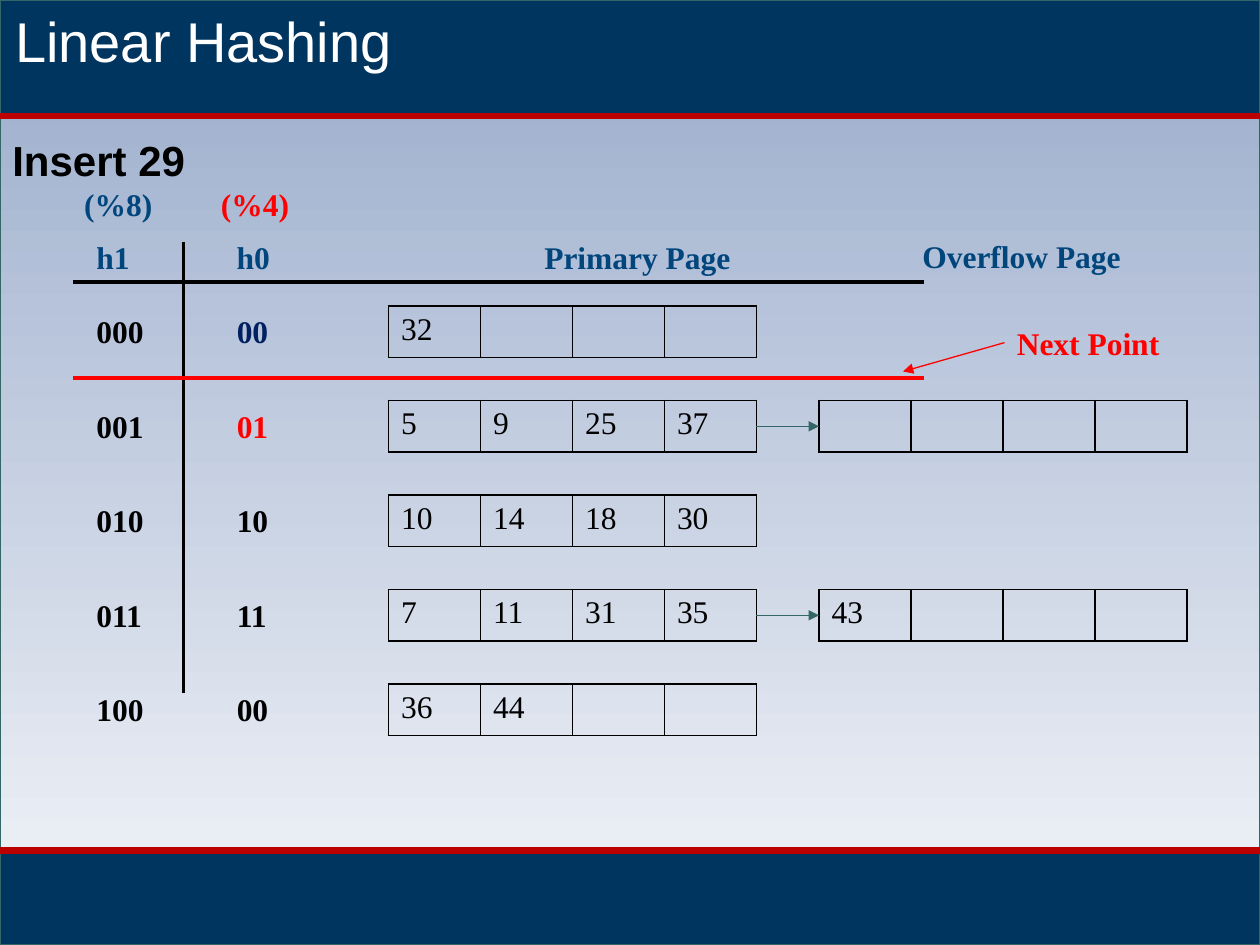
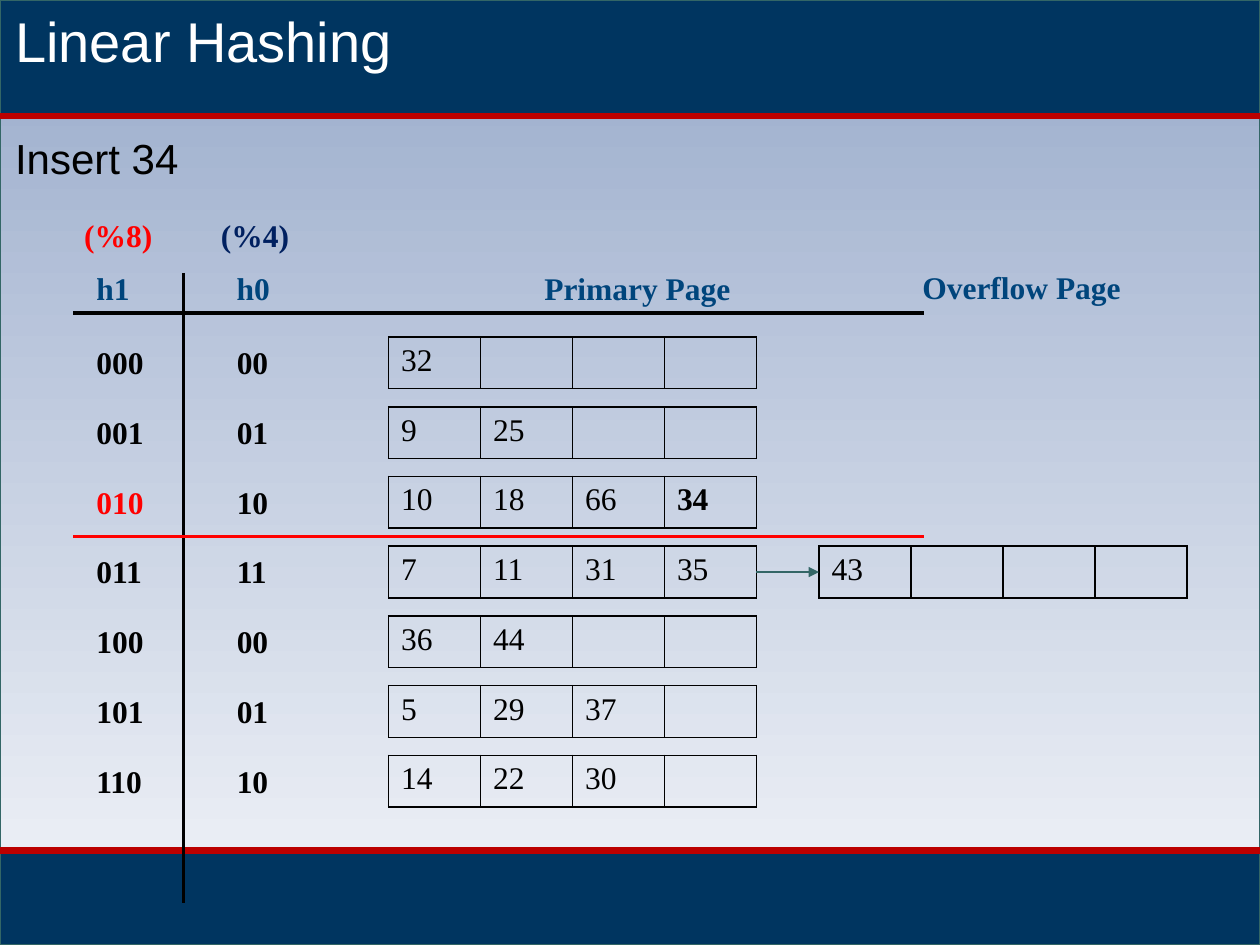
from lxml.etree import SubElement
from pptx import Presentation
from pptx.dml.color import RGBColor
from pptx.enum.shapes import MSO_CONNECTOR, MSO_SHAPE
from pptx.enum.text import MSO_AUTO_SIZE
from pptx.oxml import parse_xml
from pptx.oxml.ns import nsdecls, qn
from pptx.util import Pt

# Shared colours and formats
NAVY, TEAL, CRIMSON = "003560", "336666", "BC0000"
BLUE, DARK_BLUE, RED, BLACK, WHITE = "00457C", "002060", "FF0000", "000000", "FFFFFF"
TITLE = {"name": "Arial", "size": Pt(32), "bold": False}
HEADING = {"name": "Arial", "size": Pt(24), "bold": False}
LABEL = {"name": "Times New Roman", "size": Pt(18), "bold": True}
CELL = LABEL | {"bold": False}

# Shared geometry, in points
WIDTH, HEIGHT = 720, 540
HEADER_BOTTOM, FOOTER_TOP = 66.2, 486
H1_LEFT, H0_LEFT = 48, 128.2
PRIMARY_LEFT, OVERFLOW_LEFT = 222, 468
CELL_WIDTH, CELL_HEIGHT, CELLS = 52.56, 29.5, 4
RULE_LEFT, RULE_RIGHT = 41.8, 528


def rgb(value):
    return RGBColor.from_string(value)


def set_font(font, fmt, color):
    for name, value in fmt.items():
        setattr(font, name, value)
    font.color.rgb = rgb(color)


def add_text(s, text, left, top, width, fmt=LABEL, color=BLACK, height=28.8, wrap=False):
    tf = s.shapes.add_textbox(Pt(left), Pt(top), Pt(width), Pt(height)).text_frame
    tf.word_wrap = wrap
    tf.auto_size = MSO_AUTO_SIZE.SHAPE_TO_FIT_TEXT
    r = tf.paragraphs[0].add_run()
    r.text = text
    set_font(r.font, fmt, color)


def add_band(s, top, height, *colors):
    """Full-width rectangle: one colour is solid, two make a vertical gradient."""
    sp = s.shapes.add_shape(MSO_SHAPE.RECTANGLE, 0, Pt(top), Pt(WIDTH), Pt(height))
    sp.shadow.inherit = False
    if len(colors) == 1:
        sp.fill.solid()
        sp.fill.fore_color.rgb = rgb(colors[0])
    else:
        sp.fill.gradient()
        sp.fill.gradient_angle = 270
        for stop, position, color in zip(sp.fill.gradient_stops, (0, 1), colors):
            stop.position = position
            stop.color.rgb = rgb(color)
    sp.line.color.rgb = rgb(TEAL)
    sp.line.width = Pt(0.75)


def add_line(s, x1, y1, x2, y2, color, width, arrow=False):
    line = s.shapes.add_connector(MSO_CONNECTOR.STRAIGHT, Pt(x1), Pt(y1), Pt(x2), Pt(y2))
    line.line.color.rgb = rgb(color)
    line.line.width = Pt(width)
    props = line._element.spPr
    if arrow:
        SubElement(props.find(qn("a:ln")), qn("a:tailEnd"), type="triangle")
    SubElement(props, qn("a:effectLst"))


def add_borders(cell):
    props = cell._tc.get_or_add_tcPr()
    for i, side in enumerate(("lnL", "lnR", "lnT", "lnB")):
        props.insert(i, parse_xml(
            f'<a:{side} {nsdecls("a")} w="12700"><a:solidFill>'
            f'<a:srgbClr val="{BLACK}"/></a:solidFill></a:{side}>'))


def add_page(s, left, top, values, inserted=None):
    """One bucket page: a one-row table, the inserted key in bold."""
    table = s.shapes.add_table(1, CELLS, Pt(left), Pt(top),
                               Pt(CELL_WIDTH * CELLS), Pt(CELL_HEIGHT)).table
    table.first_row = table.horz_banding = False
    for i, cell in enumerate(table.rows[0].cells):
        table.columns[i].width = Pt(CELL_WIDTH)
        cell.fill.background()
        add_borders(cell)
        p = cell.text_frame.paragraphs[0]
        if i < len(values):
            r = p.add_run()
            r.text = str(values[i])
            set_font(r.font, CELL | {"bold": values[i] == inserted}, BLACK)
        else:
            set_font(p.font, CELL, BLACK)


def add_base(prs):
    """Blank slide with background, bands, red rules and title."""
    s = prs.slides.add_slide(prs.slide_layouts[6])
    add_band(s, 0, HEIGHT, "99ABCB", "F3F5F9")
    add_band(s, FOOTER_TOP, HEIGHT - FOOTER_TOP, NAVY)
    add_band(s, 0, HEADER_BOTTOM, NAVY)
    for y in (HEADER_BOTTOM, FOOTER_TOP):
        add_line(s, 0, y, WIDTH, y, CRIMSON, 3.75)
    add_text(s, "Linear Hashing", 1.5, 0, 718.5, TITLE, WHITE, 46, True)
    return s


def add_hash_table(s, top, step, buckets, mod_colors, key_colors, axis_bottom, split_y,
                   inserted=None):
    """Headers, rules and one row per bucket: (h1, h0, primary, overflow or None)."""
    header_top, rule_y, first_row = top + 30.2, top + 59, top + 72.6

    # Axes
    add_line(s, 105, top + 36, 105, axis_bottom, BLACK, 1.75)
    add_line(s, RULE_LEFT, rule_y, RULE_RIGHT, rule_y, BLACK, 2)

    # Column headers
    for text, left, color in zip(("(%8)", "(%4)"), (41, 119.2), mod_colors):
        add_text(s, text, left, top, 54, color=color)
    for text, left, width in (("h1", H1_LEFT, 33.8), ("h0", H0_LEFT, 33.8),
                              ("Primary Page", 304, 122.4)):
        add_text(s, text, left, header_top, width, color=BLUE)
    add_text(s, "Overflow Page", 520, header_top - 0.6, 133.2, color=BLUE)

    # Buckets
    for i, (h1, h0, primary, overflow) in enumerate(buckets):
        y = first_row + i * step
        for key, left, column, width in ((h1, H1_LEFT, "h1", 41.6), (h0, H0_LEFT, "h0", 32.4)):
            add_text(s, key, left, y, width, color=key_colors.get((column, i), BLACK))
        add_page(s, PRIMARY_LEFT, y, primary, inserted)
        if overflow is not None:
            add_page(s, OVERFLOW_LEFT, y, overflow)
            middle = y + CELL_HEIGHT / 2
            add_line(s, PRIMARY_LEFT + CELLS * CELL_WIDTH, middle, OVERFLOW_LEFT, middle,
                     TEAL, 0.75, True)

    # Split position
    add_line(s, RULE_LEFT, split_y, RULE_RIGHT, split_y, RED, 2)


def main():
    prs = Presentation()
    prs.slide_width, prs.slide_height = Pt(WIDTH), Pt(HEIGHT)

    # Slide 1: insert 29
    s = add_base(prs)
    add_text(s, "Insert 29", 0, 73.5, 642, HEADING | {"bold": True}, BLACK, 36, True)
    add_hash_table(s, 102.3, 54, [
        ("000", "00", [32], None),
        ("001", "01", [5, 9, 25, 37], []),
        ("010", "10", [10, 14, 18, 30], None),
        ("011", "11", [7, 11, 31, 35], [43]),
        ("100", "00", [36, 44], None),
    ], (BLUE, RED), {("h0", 0): DARK_BLUE, ("h0", 1): RED}, 396, 216)
    add_line(s, 574, 195.8, 516, 212.3, RED, 0.75, True)
    add_text(s, "Next Point", 574, 181.5, 96.5, color=RED, wrap=True)

    # Slide 2: insert 34
    s = add_base(prs)
    add_text(s, "Insert 34", 1.5, 72, 718.5, HEADING, BLACK, 36, True)
    add_hash_table(s, 120, 39.84, [
        ("000", "00", [32], None),
        ("001", "01", [9, 25], None),
        ("010", "10", [10, 18, 66, 34], None),
        ("011", "11", [7, 11, 31, 35], [43]),
        ("100", "00", [36, 44], None),
        ("101", "01", [5, 29, 37], None),
        ("110", "10", [14, 22, 30], None),
    ], (RED, DARK_BLUE), {("h1", 2): RED}, 516, 306.5, inserted=34)

    prs.save("out.pptx")


if __name__ == "__main__":
    main()
